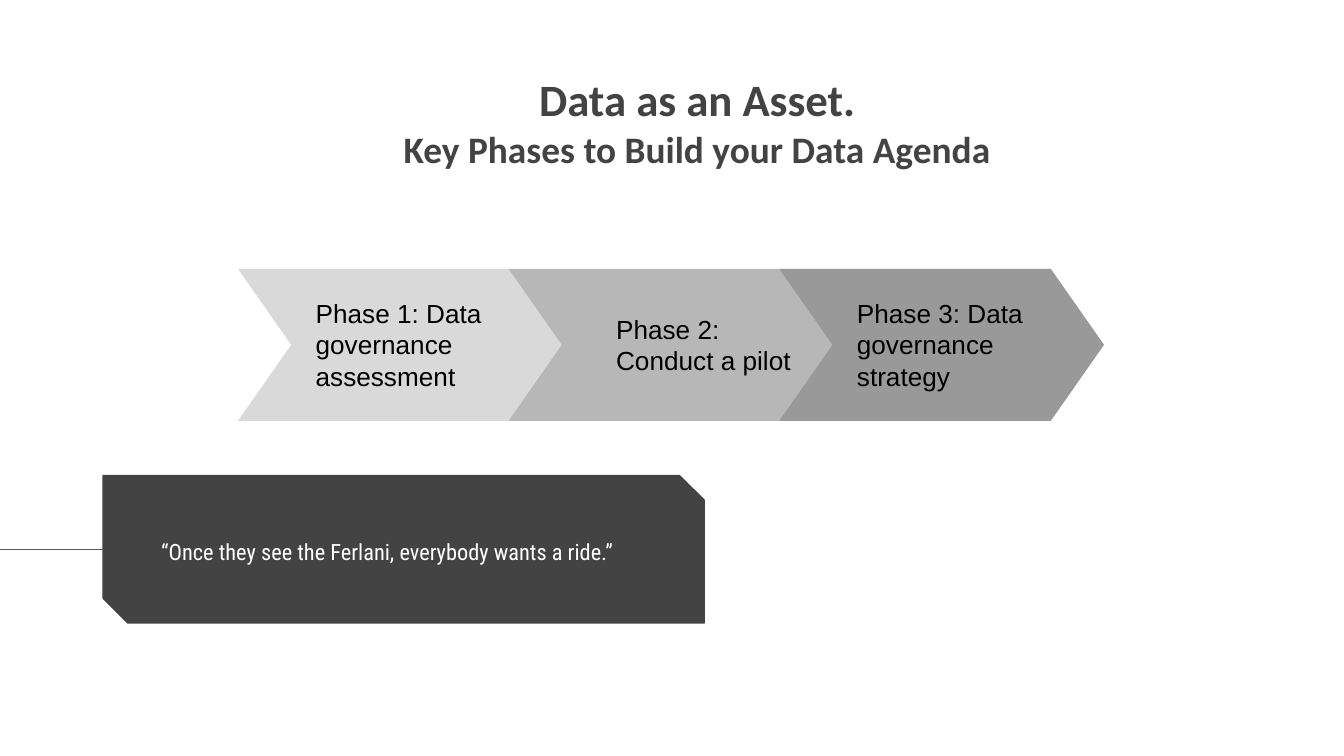
import pptx
import pptx.dml.color
import pptx.enum.shapes
import pptx.enum.text
import pptx.util
from lxml import etree
from pptx.oxml.ns import qn

Pt = pptx.util.Pt
RGBColor = pptx.dml.color.RGBColor
SHAPE = pptx.enum.shapes.MSO_SHAPE
ANCHOR = pptx.enum.text.MSO_ANCHOR
ALIGN = pptx.enum.text.PP_ALIGN

CHARCOAL = RGBColor(0x43, 0x43, 0x43)
LINE_GREY = RGBColor(0x59, 0x59, 0x59)
BLACK = RGBColor(0, 0, 0)
WHITE = RGBColor(0xFF, 0xFF, 0xFF)
PHASE_GREYS = [RGBColor(level, level, level) for level in (0xD9, 0xB7, 0x99)]

# Text, then text indent, width and height in points
PHASES = [
    ("Phase 1: Data governance assessment", 34.5, 115, 58),
    ("Phase 2: Conduct a pilot", 50.5, 113, 41),
    ("Phase 3: Data governance strategy", 34.5, 124, 58),
]


def write_text(shape, lines, font, sizes, color, bold=False, align=ALIGN.LEFT,
               anchor=ANCHOR.TOP, spacing=None, insets=(7.2, 7.2)):
    """Write lines, each with its own size, as one paragraph with line breaks."""
    frame = shape.text_frame
    frame.word_wrap = True
    frame.auto_size = pptx.enum.text.MSO_AUTO_SIZE.NONE
    frame.vertical_anchor = anchor
    frame.margin_left = frame.margin_right = Pt(insets[0])
    frame.margin_top = frame.margin_bottom = Pt(insets[1])
    paragraph = frame.paragraphs[0]
    paragraph.alignment = align
    paragraph.line_spacing = spacing
    for index, (line, size) in enumerate(zip(lines, sizes)):
        if index:
            paragraph.add_line_break()
        run = paragraph.add_run()
        run.text = line
        run.font.name = font
        run.font.size = Pt(size)
        run.font.bold = bold
        run.font.color.rgb = color


def add_filled_shape(slide, kind, left, top, width, height, color, adjustments):
    shape = slide.shapes.add_shape(kind, Pt(left), Pt(top), Pt(width), Pt(height))
    shape.shadow.inherit = False
    shape.fill.solid()
    shape.fill.fore_color.rgb = color
    shape.line.fill.background()
    for index, value in enumerate(adjustments):
        shape.adjustments[index] = value
    return shape


def add_title(slide, left, top, width, height):
    title = slide.shapes.title
    title.left, title.top = Pt(left), Pt(top)
    title.width, title.height = Pt(width), Pt(height)
    write_text(title, ["Data as an Asset.", "Key Phases to Build your Data Agenda"],
               "Calibri", [24, 20], CHARCOAL, bold=True, align=ALIGN.CENTER,
               anchor=ANCHOR.MIDDLE, spacing=1.0)


def add_phases(slide, left, top, width, height):
    """Fill the box with overlapping chevrons, then lay the labels over them."""
    chevron_width = 174
    pitch = (width - chevron_width) / (len(PHASES) - 1)
    for index, color in enumerate(PHASE_GREYS):
        add_filled_shape(slide, SHAPE.CHEVRON, left + index * pitch, top,
                         chevron_width, height, color, [0.35])
    for index, (text, indent, text_width, text_height) in enumerate(PHASES):
        label = slide.shapes.add_textbox(
            Pt(left + index * pitch + indent), Pt(top + (height - text_height) / 2),
            Pt(text_width), Pt(text_height))
        write_text(label, [text], "Arial", [14], BLACK, insets=(7.2, 3.6))


def add_quote(slide, left, top, width, height):
    panel = add_filled_shape(slide, SHAPE.SNIP_2_DIAG_RECTANGLE, left, top, width,
                             height, CHARCOAL, [0, 0.167])
    panel.line.color.rgb = CHARCOAL
    panel.line.width = Pt(0.75)

    middle = Pt(top + height / 2)
    lead = slide.shapes.add_connector(pptx.enum.shapes.MSO_CONNECTOR.STRAIGHT,
                                      Pt(left), middle, Pt(-1.5), middle)
    lead.line.color.rgb = LINE_GREY
    lead.line.width = Pt(0.75)
    etree.SubElement(lead._element.spPr, qn("a:effectLst"))

    quote = slide.shapes.add_textbox(Pt(left + 24), Pt(top + 24), Pt(275), Pt(45))
    write_text(quote, ["“Once they see the Ferlani, everybody wants a ride.”"],
               "Roboto Condensed", [12], WHITE, spacing=1.15)


def main():
    presentation = pptx.Presentation()
    presentation.slide_width, presentation.slide_height = Pt(720), Pt(405)
    slide = presentation.slides.add_slide(presentation.slide_layouts[5])
    add_title(slide, 155, 28, 437, 74)
    add_phases(slide, 127.5, 144, 464, 81.5)
    add_quote(slide, 55.25, 254.75, 322, 79)
    presentation.save("out.pptx")


if __name__ == "__main__":
    main()
